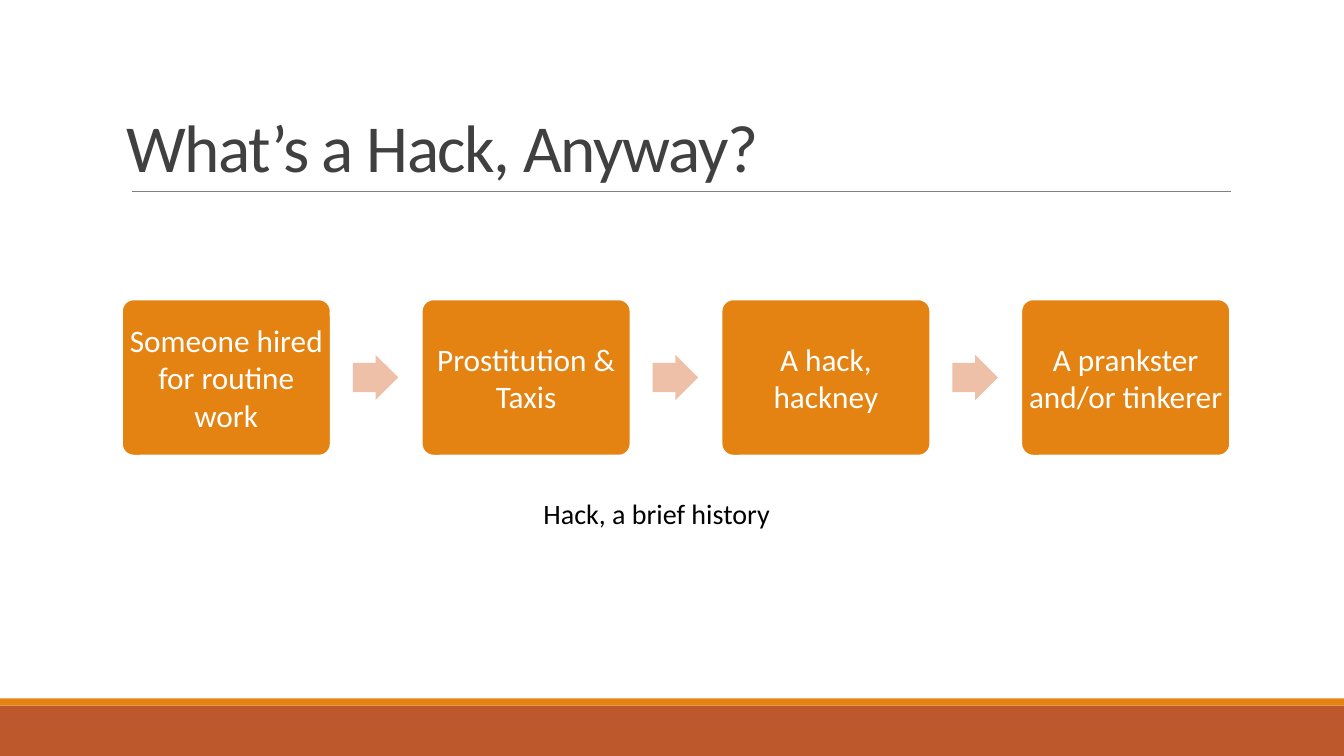
from lxml.etree import SubElement
from pptx import Presentation
from pptx.dml.color import RGBColor
from pptx.enum.shapes import MSO_CONNECTOR, MSO_SHAPE
from pptx.enum.text import MSO_ANCHOR, MSO_AUTO_SIZE, PP_ALIGN
from pptx.oxml.ns import qn
from pptx.util import Inches, Pt

WHITE = RGBColor(0xFF, 0xFF, 0xFF)
BLACK = RGBColor(0x00, 0x00, 0x00)
CHARCOAL = RGBColor(0x40, 0x40, 0x40)
GRAY = RGBColor(0x80, 0x80, 0x80)
ORANGE = RGBColor(0xE4, 0x83, 0x12)
RUST = RGBColor(0xBD, 0x58, 0x2C)
PEACH = RGBColor(0xEF, 0xC0, 0xA8)

STEPS = [
    "Someone hired for routine work",
    "Prostitution & Taxis",
    "A hack, hackney",
    "A prankster and/or tinkerer",
]
STEP_LEFT, STEP_RIGHT, STEP_WIDTH = 1.21, 12.2, 2.07
STEP_PITCH = (STEP_RIGHT - STEP_WIDTH - STEP_LEFT) / (len(STEPS) - 1)
ARROW_OFFSET = 2.29


class SlideBuilder:
    font_name = "Calibri"

    def __init__(self, page):
        self.page = page

    def set_text(self, frame, text, size, color, align=PP_ALIGN.LEFT, inset=0.05):
        frame.margin_left = frame.margin_right = Inches(inset)
        frame.margin_top = frame.margin_bottom = Inches(inset)
        para = frame.paragraphs[0]
        para.text = text
        para.alignment = align
        para.font.name = self.font_name
        para.font.size = Pt(size)
        para.font.color.rgb = color
        return para

    def title(self, text, left, top, width, height):
        box = self.page.shapes.title
        box.left, box.top = Inches(left), Inches(top)
        box.width, box.height = Inches(width), Inches(height)
        frame = box.text_frame
        frame.word_wrap = True
        frame.auto_size = MSO_AUTO_SIZE.NONE
        frame.vertical_anchor = MSO_ANCHOR.BOTTOM
        para = self.set_text(frame, text, 48, CHARCOAL)
        para.line_spacing = 0.85
        span = para.runs[0]
        span._r.get_or_add_rPr().set("spc", "-100")

    def shape(self, kind, left, top, width, height, fill, adjustments=()):
        shape = self.page.shapes.add_shape(
            kind, Inches(left), Inches(top), Inches(width), Inches(height))
        shape.shadow.inherit = False
        shape.fill.solid()
        shape.fill.fore_color.rgb = fill
        shape.line.fill.background()
        for index, value in enumerate(adjustments):
            shape.adjustments[index] = value
        return shape

    def step(self, text, left):
        card = self.shape(MSO_SHAPE.ROUNDED_RECTANGLE, left, 2.97, STEP_WIDTH, 1.55,
                          ORANGE, [0.075])
        card.line.color.rgb = WHITE
        card.line.width = Pt(1.25)
        frame = card.text_frame
        frame.word_wrap = True
        frame.vertical_anchor = MSO_ANCHOR.MIDDLE
        self.set_text(frame, text, 22.3, WHITE, PP_ALIGN.CENTER, 0.02)

    def arrow(self, left):
        self.shape(MSO_SHAPE.RIGHT_ARROW, left, 3.52, 0.45, 0.45, PEACH, [0.64, 0.5])

    def rule(self, left, right, top):
        line = self.page.shapes.add_connector(
            MSO_CONNECTOR.STRAIGHT, Inches(left), Inches(top), Inches(right), Inches(top))
        line.line.color.rgb = GRAY
        line.line.width = Pt(0.5)
        SubElement(line._element.spPr, qn("a:effectLst"))

    def caption(self, text, left, top, width, height):
        box = self.page.shapes.add_textbox(
            Inches(left), Inches(top), Inches(width), Inches(height))
        box.text_frame.word_wrap = False
        self.set_text(box.text_frame, text, 20, BLACK)


def main():
    deck = Presentation()
    deck.slide_width, deck.slide_height = Inches(13.33), Inches(7.5)
    builder = SlideBuilder(deck.slides.add_slide(deck.slide_layouts[5]))

    # Footer bands
    builder.shape(MSO_SHAPE.RECTANGLE, 0, 7, 13.33, 0.5, RUST)
    builder.shape(MSO_SHAPE.RECTANGLE, 0, 6.93, 13.33, 0.07, ORANGE)

    # Heading
    builder.rule(1.31, 12.21, 1.9)
    builder.title("What’s a Hack, Anyway?", 1.2, 0.31, 11, 1.59)

    # History steps, with an arrow after each but the last
    for index, text in enumerate(STEPS):
        left = STEP_LEFT + index * STEP_PITCH
        builder.step(text, left)
        if index < len(STEPS) - 1:
            builder.arrow(left + ARROW_OFFSET)

    # Caption
    builder.caption("Hack, a brief history", 5.34, 4.88, 2.66, 0.42)

    deck.save("out.pptx")


if __name__ == "__main__":
    main()
